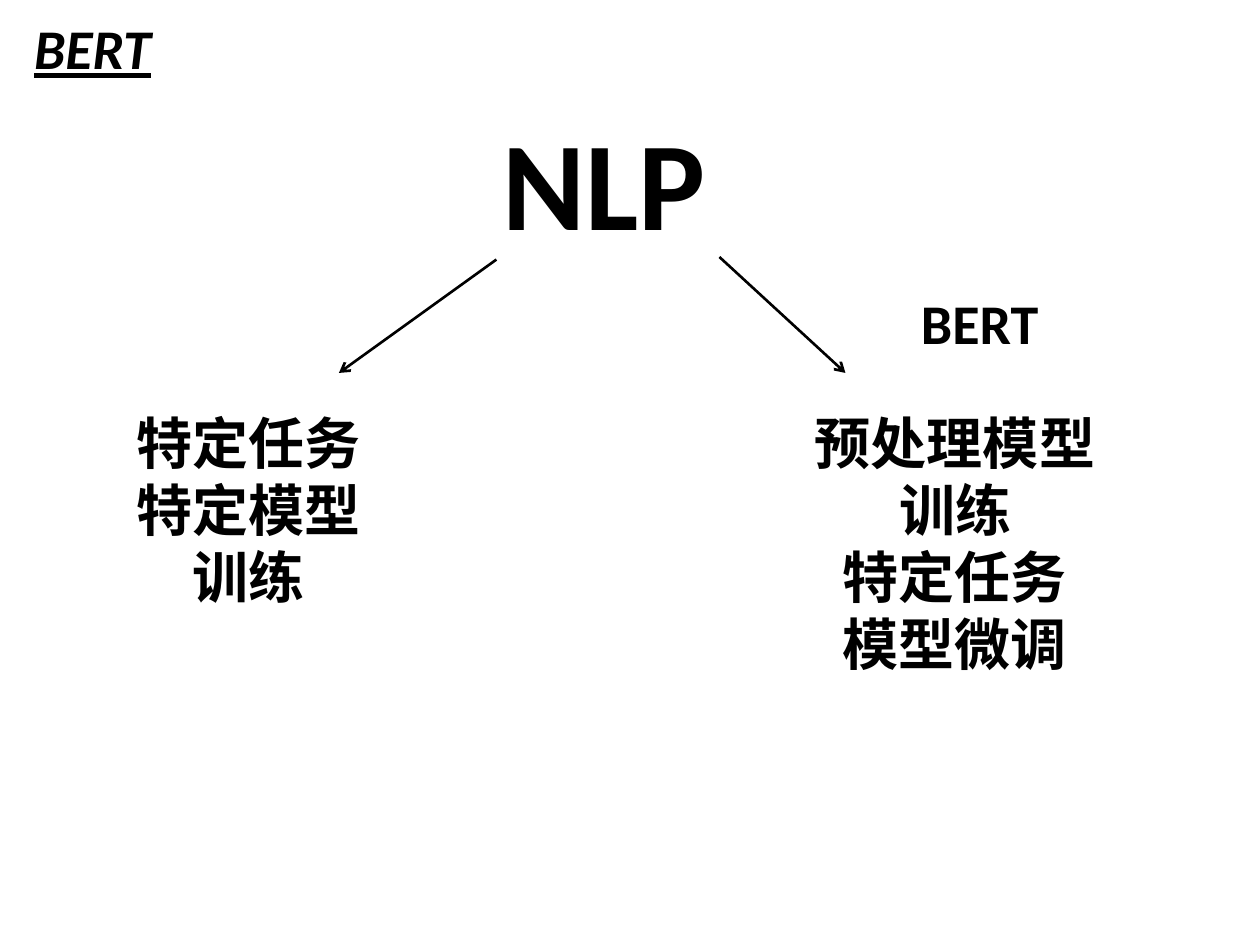
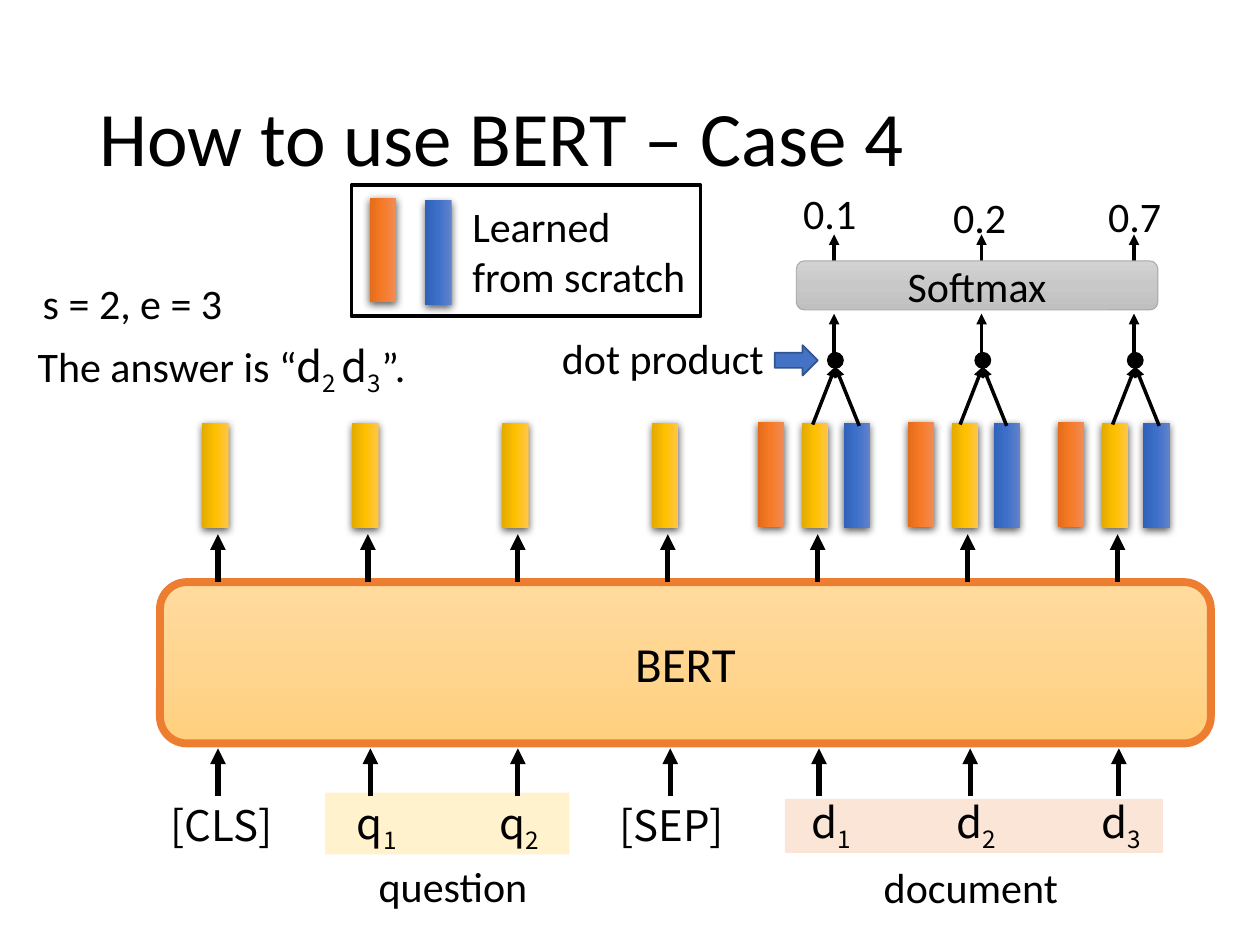
from copy import deepcopy
from dataclasses import dataclass

from lxml.etree import SubElement
from pptx import Presentation
from pptx.dml.color import RGBColor
from pptx.enum.shapes import MSO_CONNECTOR, MSO_SHAPE
from pptx.enum.text import MSO_ANCHOR, MSO_AUTO_SIZE, PP_ALIGN
from pptx.oxml.ns import qn
from pptx.util import Inches, Pt


@dataclass(frozen=True)
class Theme:
    ink: str = "000000"
    edge: str = "ED7D31"
    blue: str = "4472C4"
    navy: str = "325491"
    grey: str = "A5A5A5"
    cream: str = "FFF2CC"
    peach: str = "FBE5D6"
    gold_bar: tuple = ("FFC64B", "FFC000", "E3AB00")
    rust_bar: tuple = ("F18C57", "F67B28", "E56C19")
    blue_bar: tuple = ("6183CB", "3E70CA", "3062BB")
    model: tuple = ("FFDB9E", "FFD590", "FFD07C")
    soft: tuple = ("D2D2D2", "C8C8C8", "C0C0C0")
    font: str = "Calibri"
    token: str = "Noto Sans CJK TC"
    body: int = 24
    label: int = 28
    head: int = 32
    title: int = 44
    huge: int = 72


T = Theme()
LEFT, MID, RIGHT = PP_ALIGN.LEFT, PP_ALIGN.CENTER, PP_ALIGN.RIGHT
BAR_W, BAR_H = 0.21, 0.83
COL, STEP = 1.73, 1.19  # first output column and pitch


# Text: a string (one paragraph a line) or a list of (text, font, lowered) runs
def write(shape, text, size=T.body, align=MID, bold=None, italic=None,
          under=None, wrap=True, anchor=MSO_ANCHOR.TOP, space=None,
          fit=MSO_AUTO_SIZE.NONE):
    frame = shape.text_frame
    frame.word_wrap, frame.vertical_anchor, frame.auto_size = wrap, anchor, fit
    if isinstance(text, str):
        lines = [[(line, T.font, False)] for line in text.split("\n")]
    else:
        lines = [text]
    for i, line in enumerate(lines):
        para = frame.add_paragraph() if i else frame.paragraphs[0]
        para.alignment = align
        if space:
            para.line_spacing = space
        for part, name, low in line:
            run = para.add_run()
            run.text = part
            font = run.font
            font.name, font.size = name, Pt(size)
            font.bold, font.italic, font.underline = bold, italic, under
            font.color.rgb = RGBColor.from_string(T.ink)
            if low:
                run._r.get_or_add_rPr().set("baseline", "-25000")
    return shape


def label(slide, text, x, y, w, h=0.5, **style):
    box = slide.shapes.add_textbox(*map(Inches, (x, y, w, h)))
    return write(box, text, fit=MSO_AUTO_SIZE.SHAPE_TO_FIT_TEXT, **style)


def title(slide, text, x, y, w, h, **style):
    head = slide.shapes.title
    head.left, head.top, head.width, head.height = map(Inches, (x, y, w, h))
    write(head, text, align=LEFT, **style)


def sub(word, digit):
    return [(word, T.token, False), (digit, T.token, True)]


# Shapes
def blend(shape, shades, angle):
    fill = shape.fill
    fill.gradient()
    fill.gradient_angle = angle
    stops = shape._element.spPr.find(qn("a:gradFill")).find(qn("a:gsLst"))
    stops.insert(1, deepcopy(stops[0]))
    for stop, shade, place in zip(fill.gradient_stops, shades, (0, 0.5, 1)):
        stop.color.rgb = RGBColor.from_string(shade)
        stop.position = place


def block(slide, kind, x, y, w, h, fill=None, line=None, width=1, angle=270):
    shape = slide.shapes.add_shape(kind, *map(Inches, (x, y, w, h)))
    shape.shadow.inherit = False
    if isinstance(fill, tuple):
        blend(shape, fill, angle)
    elif fill:
        shape.fill.solid()
        shape.fill.fore_color.rgb = RGBColor.from_string(fill)
    else:
        shape.fill.background()
    if line:
        shape.line.color.rgb = RGBColor.from_string(line)
        shape.line.width = Pt(width)
    else:
        shape.line.fill.background()
    return shape


def bar(slide, mid, y, shades):
    """Vector bar, centred on mid, lit from the right, with a soft shadow."""
    shape = block(slide, MSO_SHAPE.RECTANGLE, mid - BAR_W / 2, y,
                  BAR_W, BAR_H, shades, angle=180)
    glow = SubElement(shape._element.spPr.find(qn("a:effectLst")),
                      qn("a:outerShdw"), blurRad=str(Pt(4.5)),
                      dist=str(Pt(1.5)), dir="5400000", algn="ctr",
                      rotWithShape="0")
    tint = SubElement(glow, qn("a:srgbClr"), val=T.ink)
    SubElement(tint, qn("a:alpha"), val="63000")


def arrow(slide, x1, y1, x2, y2, width=2, tip="triangle"):
    line = slide.shapes.add_connector(
        MSO_CONNECTOR.STRAIGHT, *map(Inches, (x1, y1, x2, y2)))
    line.line.color.rgb = RGBColor.from_string(T.ink)
    line.line.width = Pt(width)
    SubElement(line.line._get_or_add_ln(), qn("a:tailEnd"), type=tip)
    SubElement(line._element.spPr, qn("a:effectLst"))


# Slide 1: two ways to do NLP
def branch(slide, text, x, y, w, h, start, end):
    label(slide, text, x, y, w, h, size=T.head, bold=True, wrap=False)
    arrow(slide, *start, *end, width=1.5, tip="arrow")


def paths(slide):
    title(slide, "BERT", 0.17, 0.06, 1.15, 0.64, size=T.head, bold=True,
          italic=True, under=True, wrap=False)
    label(slide, "NLP", 3.84, 0.78, 1.91, 1.31, size=T.huge, bold=True,
          wrap=False)
    branch(slide, "特定任务\n特定模型\n训练", 0.93, 3.19, 2.08, 1.72,
           (3.94, 2.06), (2.69, 2.96))
    branch(slide, "预处理模型\n训练\n特定任务\n模型微调", 6.32, 3.19, 2.52, 2.25,
           (5.71, 2.04), (6.71, 2.96))
    label(slide, "BERT", 7.05, 2.24, 1.45, 0.64, size=T.head, bold=True)


# Slide 2: input tokens below the model
def inputs(slide, y):
    rect = MSO_SHAPE.RECTANGLE
    block(slide, rect, 2.58, y + 0.35, 1.94, 0.49, T.cream)
    block(slide, rect, 6.23, y + 0.4, 3, 0.43, T.peach)
    tokens = [  # text, its left and drop, arrow centre
        ([("[CLS]", T.token, False)], 1.15, 0.36, 1.73),
        (sub("q", "1"), 2.38, 0.34, 2.94),
        (sub("q", "2"), 3.51, 0.34, 4.11),
        ([("[SEP]", T.token, False)], 4.72, 0.36, 5.32),
        (sub("d", "1"), 5.99, 0.33, 6.5),
        (sub("d", "2"), 7.14, 0.33, 7.7),
        (sub("d", "3"), 8.29, 0.33, 8.88),
    ]
    for text, x, drop, mid in tokens:
        label(slide, text, x, y + drop, 1.22)
        arrow(slide, mid, y + 0.38, mid, y, 3)
    label(slide, "question", 2.64, y + 0.84, 1.91)
    label(slide, "document", 6.75, y + 0.85, 1.91)


def model(slide, x, y, w, h):
    box = block(slide, MSO_SHAPE.ROUNDED_RECTANGLE, x, y, w, h, T.model,
                T.edge, 4.5)
    write(box, "BERT", size=T.label, anchor=MSO_ANCHOR.MIDDLE)


# Output vectors; document columns also carry start and end vectors
def outputs(slide, y):
    for i in range(7):
        mid = COL + i * STEP
        arrow(slide, mid, y + 1.26, mid, y + 0.88, 3)
        bar(slide, mid - 0.02, y, T.gold_bar)
        if i > 3:
            bar(slide, mid - 0.37, y - 0.01, T.rust_bar)
            bar(slide, mid + 0.31, y, T.blue_bar)


# Dot products, softmax and scores
def scores(slide, y):
    columns = [(6.63, "0.1", 6.09, 0), (7.8, "0.2", 7.28, 0.03),
               (9.01, "0.7", 8.51, 0.02)]  # dot centre, score, left, drop
    for mid, score, x, drop in columns:
        stem = mid - 0.01
        arrow(slide, stem, y + 0.73, stem, y + 0.42)
        arrow(slide, mid + 0.19, y + 1.94, mid, y + 1.47)
        block(slide, MSO_SHAPE.OVAL, mid - 0.06, y + 1.36, 0.12, 0.12,
              T.ink, T.ink)
        arrow(slide, mid - 0.18, y + 1.93, mid, y + 1.47)
        arrow(slide, stem, y + 1.36, stem, y + 1.05)
        label(slide, score, x, y + drop, 0.99)
    box = block(slide, MSO_SHAPE.ROUNDED_RECTANGLE, 6.32, y + 0.63, 2.87,
                0.39, T.soft, T.grey, 0.5)
    write(box, "Softmax", anchor=MSO_ANCHOR.MIDDLE)
    label(slide, "dot product", 4.21, y + 1.15, 1.95, align=RIGHT)
    block(slide, MSO_SHAPE.RIGHT_ARROW, 6.15, y + 1.3, 0.34, 0.24,
          T.blue, T.navy)


def answer(slide, x, y):
    label(slide, "s = 2, e = 3", x + 0.04, y, 3.42, align=LEFT)
    text = [("The answer is “", T.font, False), *sub("d", "2 "),
            *sub("d", "3"), ("”.", T.font, False)]
    label(slide, text, x, y + 0.5, 3.42, align=LEFT)


def legend(slide, x, y):
    block(slide, MSO_SHAPE.RECTANGLE, x, y, 2.77, 1.04, None, T.ink, 2.25)
    bar(slide, x + 0.25, y + 0.1, T.rust_bar)
    bar(slide, x + 0.69, y + 0.12, T.blue_bar)
    label(slide, "Learned from scratch", x + 0.86, y + 0.07, 1.9, 0.91,
          align=LEFT)


def case(slide):
    title(slide, "How to use BERT – Case 4", 0.69, 0.4, 8.62, 1.45,
          size=T.title, anchor=MSO_ANCHOR.MIDDLE, space=0.9)
    model(slide, 1.27, 4.62, 8.34, 1.28)
    inputs(slide, 5.94)
    outputs(slide, 3.36)
    scores(slide, 1.44)
    answer(slide, 0.2, 2.15)
    legend(slide, 2.79, 1.47)


def main():
    deck = Presentation()
    deck.slide_width, deck.slide_height = Inches(10), Inches(7.5)
    for draw in (paths, case):
        draw(deck.slides.add_slide(deck.slide_layouts[5]))
    deck.save("out.pptx")


if __name__ == "__main__":
    main()
